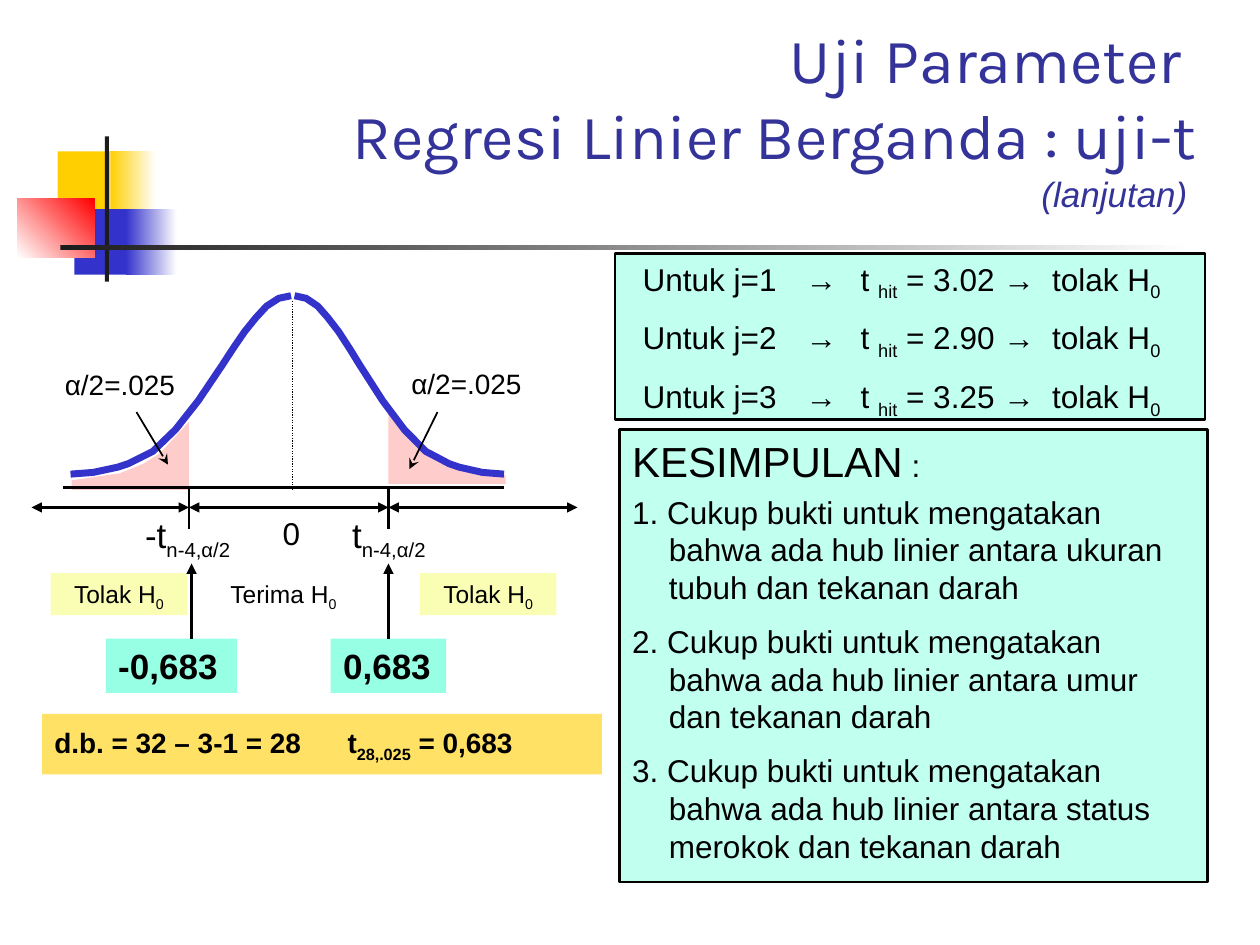
from lxml import etree
from pptx import Presentation
from pptx.dml.color import RGBColor
from pptx.enum import dml, shapes, text
from pptx.oxml import ns
from pptx.util import Pt

COLORS = {
    "black": "000000", "white": "FFFFFF", "ink": "1C1C1C", "title": "333399",
    "yellow": "FFCF01", "blue": "3333CC", "red": "FF0000", "pink": "FFCCCC",
    "cream": "FAFEB4", "mint": "97FFE4", "pale": "C1FFEF", "gold": "FFE265",
}


def rgb(name):
    return RGBColor.from_string(COLORS[name])


def add_xml(parent, tag, **attributes):
    return etree.SubElement(parent, ns.qn(tag), attributes)


class SlideBuilder:
    """Holds the text style and the current page; all lengths are points."""

    def __init__(self, page, font="Arial", color="black"):
        self.page, self.font, self.color = page, font, color

    def style(self, span, size, color=None, font=None, bold=False, italic=False):
        span.font.name = font or self.font
        span.font.size = Pt(size)
        span.font.bold, span.font.italic = bold, italic
        span.font.color.rgb = rgb(color or self.color)

    def add_spans(self, para, content, size, align="LEFT", tabs=(), **look):
        """Fill a paragraph; text between bars is subscript."""
        para.alignment = getattr(text.PP_ALIGN, align)
        if tabs:
            stops = add_xml(para._p.get_or_add_pPr(), "a:tabLst")
            for stop in tabs:
                add_xml(stops, "a:tab", pos=str(Pt(stop)), algn="l")
        for number, part in enumerate(content.split("|")):
            if part:
                span = para.add_run()
                span.text = part
                self.style(span, size, **look)
                if number % 2:
                    span._r.get_or_add_rPr().set("baseline", "-25000")

    def outline(self, shape, color, width):
        shape.line.color.rgb = rgb(color)
        shape.line.width = Pt(width)

    def place(self, shape, left, top, width, height):
        shape.left, shape.top = Pt(left), Pt(top)
        shape.width, shape.height = Pt(width), Pt(height)

    def rect(self, left, top, width, height, fill, fade=None, angle=0):
        box = self.page.shapes.add_shape(
            shapes.MSO_SHAPE.RECTANGLE, Pt(left), Pt(top), Pt(width), Pt(height))
        box.shadow.inherit = False
        box.line.fill.background()
        if fade:
            box.fill.gradient()
            box.fill.gradient_angle = angle
            for stop, name in zip(box.fill.gradient_stops, (fill, fade)):
                stop.color.rgb = rgb(name)
        else:
            box.fill.solid()
            box.fill.fore_color.rgb = rgb(fill)
        return box

    def label(self, content, left, top, width, height, size, fill=None,
              inset=(7.2, 3.6), wrap=True, **look):
        """Text on a filled rectangle, or in a plain text box without fill."""
        if fill:
            box = self.rect(left, top, width, height, fill)
        else:
            box = self.page.shapes.add_textbox(
                Pt(left), Pt(top), Pt(width), Pt(height))
        frame = box.text_frame
        frame.word_wrap = wrap
        frame.vertical_anchor = text.MSO_ANCHOR.TOP
        frame.margin_left, frame.margin_top = Pt(inset[0]), Pt(inset[1])
        for number, line in enumerate(content.split("\n")):
            para = frame.add_paragraph() if number else frame.paragraphs[0]
            para.space_before = Pt(size / 2 if number else 0)
            self.add_spans(para, line, size, **look)
        return box

    def line(self, x1, y1, x2, y2, width=1.5, head=None, tail=None,
             dash=None, start=None):
        link = self.page.shapes.add_connector(
            shapes.MSO_CONNECTOR.STRAIGHT, Pt(x1), Pt(y1), Pt(x2), Pt(y2))
        self.outline(link, "black", width)
        if dash:
            link.line.dash_style = dash
        for tag, kind in (("a:headEnd", head), ("a:tailEnd", tail)):
            if kind:
                add_xml(link.line._get_or_add_ln(), tag, type=kind)
        add_xml(link._element.spPr, "a:effectLst")
        if start is not None:
            link.begin_connect(start, 0)

    def freeform(self, points, fill=None, line=None, width=4):
        points = [(Pt(x), Pt(y)) for x, y in points]
        builder = self.page.shapes.build_freeform(*points[0])
        builder.add_line_segments(points[1:], close=bool(fill))
        outline = builder.convert_to_shape()
        outline.shadow.inherit = False
        if fill:
            outline.fill.solid()
            outline.fill.fore_color.rgb = rgb(fill)
            outline.line.fill.background()
        else:
            outline.fill.background()
            self.outline(outline, line, width)


def fill_title(slide):
    title = slide.page.shapes.title
    slide.place(title, 78, 12, 613, 90)
    frame = title.text_frame
    frame.text = "Uji Parameter \vRegresi Linier Berganda : uji-t"
    frame.auto_size = text.MSO_AUTO_SIZE.NONE
    frame.vertical_anchor = text.MSO_ANCHOR.BOTTOM
    frame.paragraphs[0].alignment = text.PP_ALIGN.RIGHT
    for span in frame.paragraphs[0].runs:
        slide.style(span, 36, "title", "Karla")
    slide.label("(lanjutan)", 588, 95, 98, 31, 20, wrap=False,
                color="title", italic=True)


def draw_ornament(slide):
    for left, top, solid, faded, color in ((33, 86.5, 30, 26, "yellow"),
                                           (42.5, 119.5, 29.5, 29, "blue")):
        slide.rect(left, top, solid, 37.5, color)
        slide.rect(left + solid, top, faded, 37.5, color, "white")
    slide.rect(10, 113.5, 44, 33.5, "white", "red", 45)
    slide.rect(60, 78, 2.2, 83, "ink")
    slide.rect(34.5, 140.2, 648, 2.4, "ink", "white")


def draw_curve(slide):
    left, middle, right = 108, 167, 222

    # Rejection tails
    slide.freeform([(289, 276.5), (289, 271.5), (261.5, 266.5), (245, 258.5),
                    (236, 251.5), (right, 232.5), (right, 276.5)], fill="pink")
    slide.freeform([(41, 280), (41, 274.5), (68.5, 270.5), (82, 265),
                    (91.5, 259), (left, 241), (left, 280)], fill="pink")

    # Bell: one half as distance from the tail, mirrored for the other
    half = [(0, 271), (13, 270), (20, 268.5), (27, 267), (33, 265),
            (40, 261.5), (47, 258), (60, 245.5), (73, 229), (86.5, 209),
            (93, 199), (99.5, 189.5), (106, 181.5), (112, 175),
            (119, 170.5), (126, 169)]
    for tail, scale in ((40.3, 1), (288, -0.95)):
        slide.freeform([(tail + scale * x, y) for x, y in half], line="blue")

    # Axis, centre line and regions
    slide.line(36, 278.6, 288, 278.6, 2)
    slide.line(middle, 172, middle, 280, 0.75, dash=dml.MSO_LINE.ROUND_DOT)
    for x in (left, right):
        slide.line(x, 278.6, x, 302.4)
    for x1, x2 in ((18, left), (left, right), (right, 330)):
        slide.line(x1, 290, x2, 290, head="triangle", tail="triangle")

    # Labels
    for x, y in ((30, 206.5), (228, 206)):
        slide.label("α/2=.025", x, y, 90, 26, 16)
    slide.line(78, 235.5, 96, 265.5, 1, tail="stealth")
    slide.line(250, 235.5, 234, 268, 1, tail="stealth")
    for content, x in (("-t|n-4,α/2|", 69), ("t|n-4,α/2|", 184)):
        slide.label(content, x, 290, 76.5, 31, 20, align="CENTER")
    slide.label("0", 148.5, 290, 36, 29, 18, align="CENTER")
    for content, x, width, fill in (("Tolak H|0|", 29, 78, "cream"),
                                    ("Terima H|0|", 102, 120, None),
                                    ("Tolak H|0|", 240, 78, "cream")):
        slide.label(content, x, 327.5, width, 24, 14, fill, align="CENTER")

    # Critical values
    slide.label("-0,683", 60.5, 365, 75, 31, 20, "mint", bold=True)
    upper = slide.label("0,683", right - 33, 365, 66, 31, 20, "mint", bold=True)
    slide.line(109.5, 365, 109.5, 322, tail="triangle")
    slide.line(right, 365, right, 322, tail="triangle", start=upper)
    slide.label("d.b. = 32 – 3-1 = 28\tt|28,.025| = 0,683", 24, 408, 320, 34.5,
                16, "gold", (7.2, 6.5), tabs=[167.5], bold=True)


def fill_results(slide):
    values = ("3.02", "2.90", "3.25")
    rows = [f"Untuk j={j}\t→\tt |hit| = {value} →\ttolak H|0|"
            for j, value in enumerate(values, 1)]
    box = slide.label("\n".join(rows), 351.5, 144.8, 337, 95, 18, "pale",
                      (15.8, 3.6), tabs=[93, 124.5, 234])
    slide.outline(box, "black", 1.5)


def fill_conclusions(slide):
    body = slide.page.placeholders[1]
    slide.place(body, 354, 245.5, 336, 258.5)
    body.fill.solid()
    body.fill.fore_color.rgb = rgb("pale")
    slide.outline(body, "black", 1.5)
    frame = body.text_frame
    topics = ("ukuran tubuh", "umur", "status merokok")
    frame.text = "\n".join(["KESIMPULAN"] + [
        f"{number}. Cukup bukti untuk mengatakan bahwa ada hub linier "
        f"antara {topic} dan tekanan darah"
        for number, topic in enumerate(topics, 1)])
    frame.auto_size = text.MSO_AUTO_SIZE.NONE
    for para, gap, size in zip(frame.paragraphs, (0, 3.6, 9, 9), (24, 18, 18, 18)):
        para.space_before = Pt(gap)
        layout = para._p.get_or_add_pPr()
        layout.set("marL", str(Pt(21)))
        layout.set("indent", str(Pt(-21)))
        add_xml(layout, "a:buNone")
        slide.style(para.runs[0], size)
    slide.add_spans(frame.paragraphs[0], " :", 18)


def main():
    deck = Presentation()
    deck.slide_width, deck.slide_height = Pt(720), Pt(540)
    slide = SlideBuilder(deck.slides.add_slide(deck.slide_layouts[1]))
    draw_ornament(slide)
    fill_title(slide)
    draw_curve(slide)
    fill_results(slide)
    fill_conclusions(slide)
    deck.save("out.pptx")


if __name__ == "__main__":
    main()
